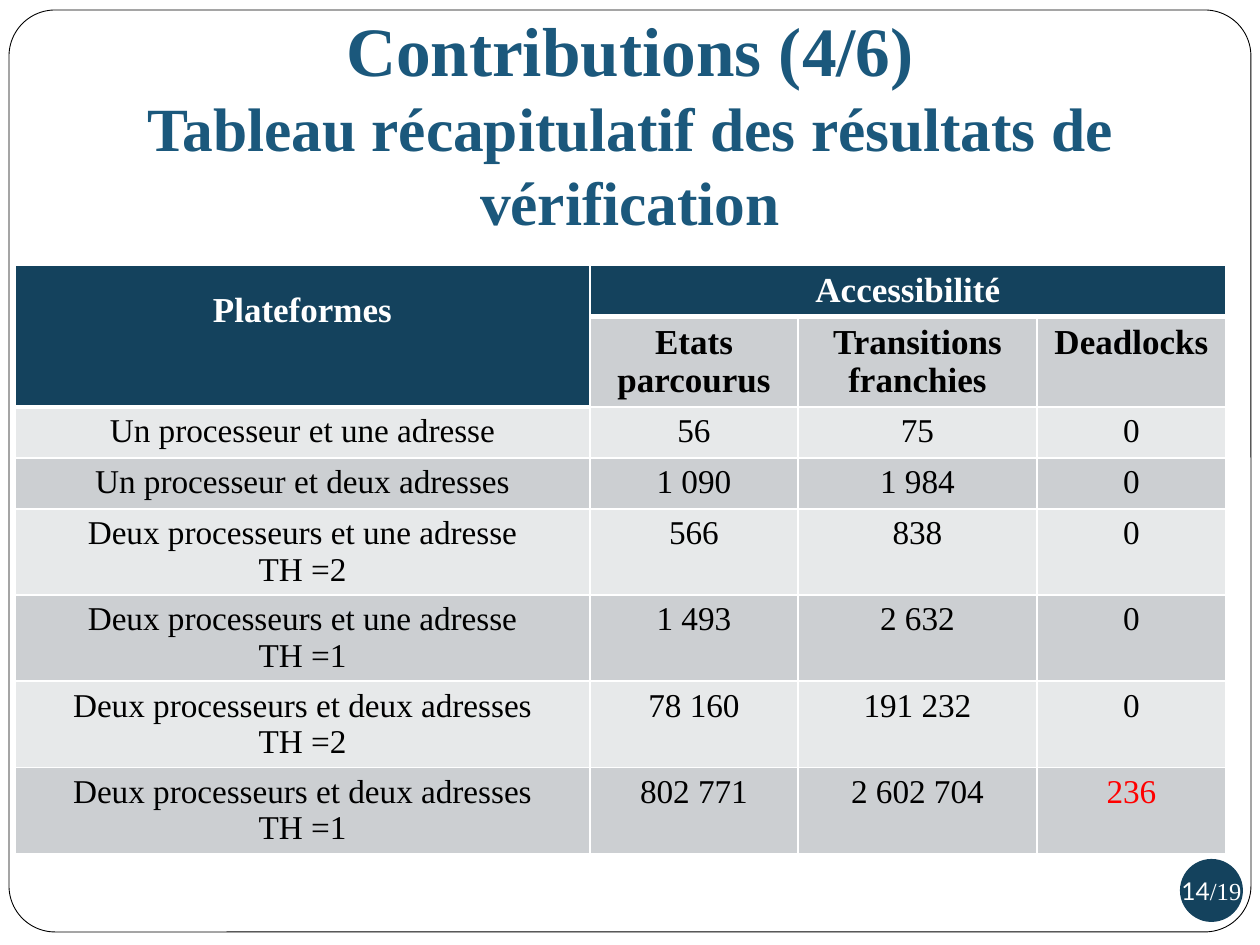
from lxml.etree import SubElement, fromstring
from pptx import Presentation
from pptx.dml.color import RGBColor
from pptx.enum.shapes import MSO_SHAPE
from pptx.enum.text import MSO_ANCHOR, PP_ALIGN
from pptx.oxml.ns import qn
from pptx.util import Pt

PX = 914400 / 126
SERIF, SANS = "Times New Roman", "Lato"
NAVY, TITLE_BLUE, WHITE, BLACK, RED = "14425D", "1B587C", "FFFFFF", "000000", "FF0000"
BANDS = ("E7E9EA", "CCCFD2")
TITLE = [("Contributions (4/6)", 39.6), ("Tableau récapitulatif des résultats de vérification", 35.1)]
PAGE_NUMBER = [("14", SANS), ("/19", SERIF)]
ROWS = [
    ("Plateformes", "Accessibilité", "", ""),
    ("", "Etats parcourus", "Transitions franchies", "Deadlocks"),
    ("Un processeur et une adresse", "56", "75", "0"),
    ("Un processeur et deux adresses", "1 090", "1 984", "0"),
    ("Deux processeurs et une adresse\nTH =2", "566", "838", "0"),
    ("Deux processeurs et une adresse\nTH =1", "1 493", "2 632", "0"),
    ("Deux processeurs et deux adresses\nTH =2", "78 160", "191 232", "0"),
    ("Deux processeurs et deux adresses\nTH =1", "802 771", "2 602 704", "236"),
]
COLUMN_WIDTHS = (575, 208, 239, 189)
ROW_HEIGHTS = (51, 90, 51, 51, 86, 86, 86, 86)


def px(*lengths):
    return [round(length * PX) for length in lengths]


def color(value):
    return RGBColor.from_string(value)


def set_all(target, values):
    for name, value in values.items():
        setattr(target, name, value)


def add_run(paragraph, text, size, ink, face=SERIF, bold=False):
    run = paragraph.add_run()
    run.text = text
    set_all(run.font, {"name": face, "size": Pt(size), "bold": bold})
    run.font.color.rgb = color(ink)


def add_filled(slide, preset, box, fill):
    shape = slide.shapes.add_shape(preset, *px(*box))
    shape.shadow.inherit = False
    shape.fill.solid()
    shape.fill.fore_color.rgb = color(fill)
    return shape


def add_borders(cell, row, column):
    header_end = 1 if column == 0 else 0
    widths = {"L": 1, "R": 1,
              "T": 3 if row == header_end + 1 else 1,
              "B": 3 if row == header_end else 1}
    properties = cell._tc.get_or_add_tcPr()
    for position, (side, width) in enumerate(widths.items()):
        border = fromstring(
            f'<a:ln{side} xmlns:a="http://schemas.openxmlformats.org/drawingml/2006/main" w="{Pt(width)}"/>')
        SubElement(SubElement(border, qn("a:solidFill")), qn("a:srgbClr"), val=WHITE)
        properties.insert(position, border)


def fill_cell(cell, text, row, column):
    header = row == 0 or (row == 1 and column == 0)
    cell.fill.solid()
    cell.fill.fore_color.rgb = color(NAVY if header else BANDS[row % 2])
    add_borders(cell, row, column)
    if not text:
        return
    if text == "Plateformes":
        cell.margin_top = px(26)[0]
    ink = WHITE if header else RED if text == "236" else BLACK
    for index, line in enumerate(text.split("\n")):
        frame = cell.text_frame
        paragraph = frame.add_paragraph() if index else frame.paragraphs[0]
        paragraph.alignment = PP_ALIGN.CENTER
        add_run(paragraph, line, 20 if row < 2 else 19, ink, bold=row < 2)


def add_results(slide):
    box = px(15, 265, sum(COLUMN_WIDTHS), sum(ROW_HEIGHTS))
    results = slide.shapes.add_table(len(ROWS), len(COLUMN_WIDTHS), *box).table
    for column, width in zip(results.columns, px(*COLUMN_WIDTHS)):
        column.width = width
    for row, height in zip(results.rows, px(*ROW_HEIGHTS)):
        row.height = height
    for r, texts in enumerate(ROWS):
        for c, text in enumerate(texts):
            fill_cell(results.cell(r, c), text, r, c)
    results.cell(0, 0).merge(results.cell(1, 0))
    results.cell(0, 1).merge(results.cell(0, 3))


def add_title(slide):
    frame = slide.shapes.add_textbox(*px(0, 93, 1260, 158)).text_frame
    set_all(frame, {"word_wrap": True, "vertical_anchor": MSO_ANCHOR.BOTTOM, "margin_bottom": px(13)[0]})
    heading = frame.paragraphs[0]
    heading.alignment = PP_ALIGN.CENTER
    for index, (text, size) in enumerate(TITLE):
        if index:
            heading.add_line_break()
        add_run(heading, text, size, TITLE_BLUE, bold=True)


def add_page_number(slide):
    badge = add_filled(slide, MSO_SHAPE.OVAL, (1180, 859, 63, 63), NAVY)
    badge.line.fill.background()
    frame = badge.text_frame
    set_all(frame, {"word_wrap": False, "vertical_anchor": MSO_ANCHOR.MIDDLE, "margin_left": 0,
                    "margin_right": 0, "margin_top": 0, "margin_bottom": 0})
    number = frame.paragraphs[0]
    number.alignment = PP_ALIGN.CENTER
    for text, face in PAGE_NUMBER:
        add_run(number, text, 14, WHITE, face)


def main():
    """Build the slide that sums up the verification results."""
    deck = Presentation()
    deck.slide_width, deck.slide_height = px(1260, 945)
    slide = deck.slides.add_slide(deck.slide_layouts[6])
    page_frame = add_filled(slide, MSO_SHAPE.ROUNDED_RECTANGLE, (9, 10, 1242, 922), WHITE)
    page_frame.adjustments[0] = 0.05
    page_frame.line.color.rgb = color(BLACK)
    page_frame.line.width = Pt(0.5)
    add_results(slide)
    add_title(slide)
    add_page_number(slide)
    deck.save("out.pptx")


if __name__ == "__main__":
    main()
